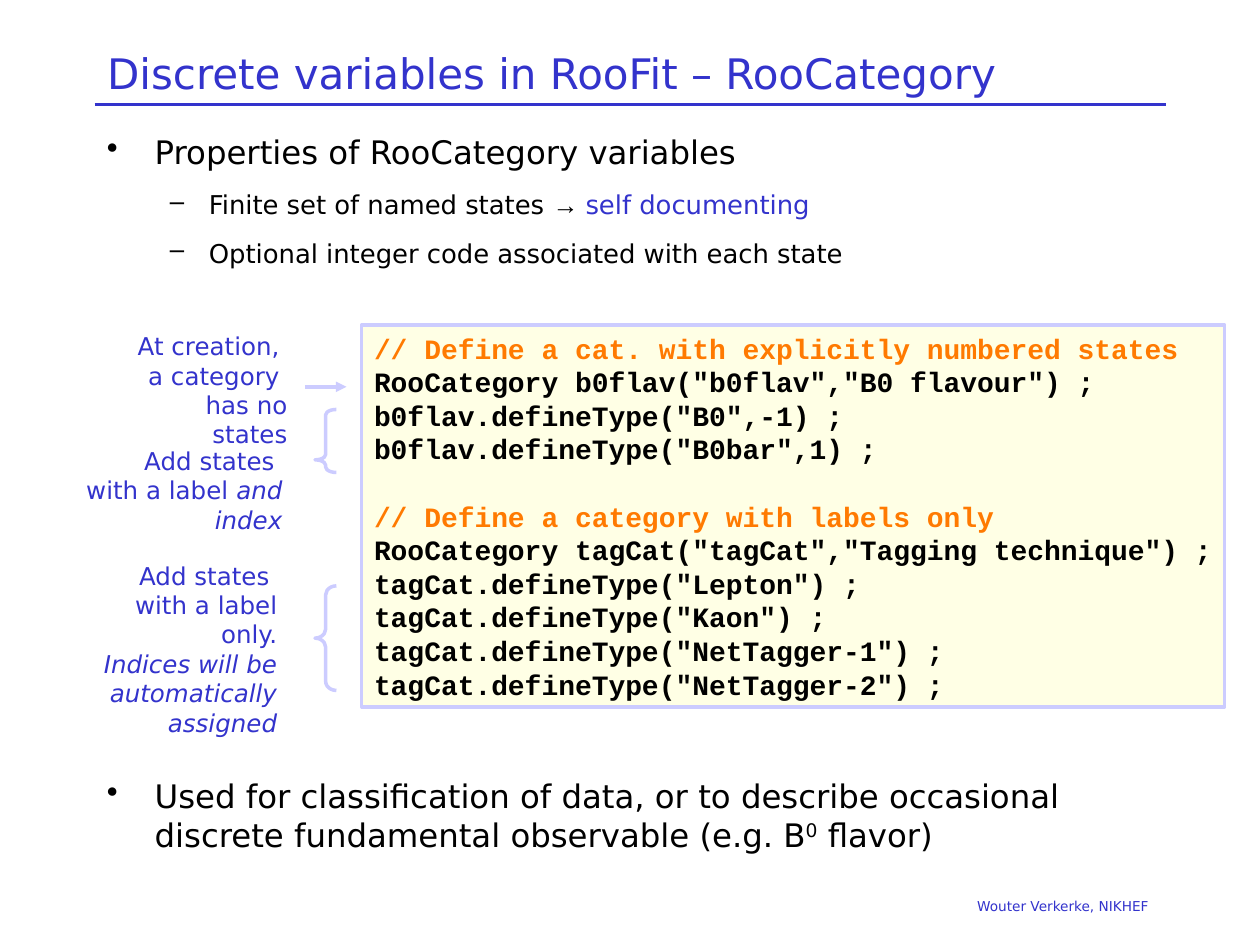
from dataclasses import dataclass
from typing import Any, NamedTuple, Optional

from lxml.etree import SubElement
from pptx import Presentation
from pptx.dml.color import RGBColor
from pptx.enum.shapes import MSO_CONNECTOR as Connector, MSO_SHAPE as Preset
from pptx.enum.text import MSO_ANCHOR as Anchor, MSO_AUTO_SIZE as AutoSize, PP_ALIGN as Align
from pptx.oxml.ns import qn
from pptx.util import Inches, Pt


@dataclass(frozen=True)
class Theme:
    blue: str = "3333CC"
    lilac: str = "CCCCFF"
    cream: str = "FFFFCC"
    orange: str = "FF7A01"
    black: str = "000000"
    sans: str = "DejaVu Sans"
    mono: str = "Courier New"
    symbol: str = "Arial"
    title_size: float = 24
    point_size: float = 18.5
    detail_size: float = 14.8
    code_size: float = 16
    note_size: float = 14
    footer_size: float = 7.8
    rule_width: float = 2
    line_pitch: float = 1.2


THEME = Theme()


class Box(NamedTuple):
    left: float
    top: float
    width: float
    height: float


class Style(NamedTuple):
    size: float
    color: str
    font: str = THEME.sans
    bold: bool = False
    align: Align = Align.LEFT


class Span(NamedTuple):
    text: str
    color: Optional[str] = None
    font: Optional[str] = None
    italic: bool = False
    raised: bool = False


class Bullet(NamedTuple):
    mark: str
    level: int
    margin: float
    hanging: float


class Line(NamedTuple):
    spans: list[Span]
    style: Style
    bullet: Optional[Bullet] = None
    gap: float = 0


class Brace(NamedTuple):
    box: Box
    curve: float
    tip: float


class Note(NamedTuple):
    box: Box
    spans: list[Span]


TITLE = Style(THEME.title_size, THEME.blue)
POINT = Style(THEME.point_size, THEME.black)
DETAIL = Style(THEME.detail_size, THEME.black)
CODE = Style(THEME.code_size, THEME.black, THEME.mono, bold=True)
NOTE = Style(THEME.note_size, THEME.blue, align=Align.RIGHT)
FOOTER = Style(THEME.footer_size, THEME.blue, align=Align.RIGHT)

DOT = Bullet("•", 0, 0.38, 0.38)
DASH = Bullet("–", 1, 0.81, 0.31)

PROPERTIES = [
    Line([Span("Properties of RooCategory variables")], POINT, DOT),
    Line([Span("Finite set of named states "), Span("→ ", font=THEME.symbol),
          Span("self documenting", THEME.blue)], DETAIL, DASH, 10),
    Line([Span("Optional integer code associated with each state")], DETAIL, DASH, 10),
]
USAGE = [
    Line([Span("Used for classification of data, or to describe occasional "
               "discrete fundamental observable (e.g. B"),
          Span("0", raised=True), Span(" flavor)")], POINT, DOT),
]
LISTINGS = [
    ["// Define a cat. with explicitly numbered states",
     'RooCategory b0flav("b0flav","B0 flavour") ;',
     'b0flav.defineType("B0",-1) ;',
     'b0flav.defineType("B0bar",1) ;'],
    ["// Define a category with labels only",
     'RooCategory tagCat("tagCat","Tagging technique") ;',
     'tagCat.defineType("Lepton") ;',
     'tagCat.defineType("Kaon") ;',
     'tagCat.defineType("NetTagger-1") ;',
     'tagCat.defineType("NetTagger-2") ;'],
]
NOTES = [
    Note(Box(0.97, 2.58, 1.41, 0.8), [Span("At creation, \na category \nhas no states")]),
    Note(Box(0.19, 3.49, 2.15, 0.57),
         [Span("Add states \nwith a label "), Span("and index", italic=True)]),
    Note(Box(0.57, 4.4, 1.73, 1.27),
         [Span("Add states \nwith a label only.\n"),
          Span("Indices will be\nautomatically\nassigned", italic=True)]),
]
BRACES = [
    Brace(Box(2.5, 3.25, 0.17, 0.5), 0.25, 0.8),
    Brace(Box(2.5, 4.65, 0.17, 0.83), 0.42, 0.5),
]


def inches(values: tuple) -> list:
    return [Inches(value) for value in values]


def assign(target: Any, values: dict) -> None:
    for key, value in values.items():
        setattr(target, key, value)


def add_bullet(paragraph, bullet: Bullet) -> None:
    properties = paragraph._p.get_or_add_pPr()
    properties.set("marL", str(Inches(bullet.margin)))
    properties.set("indent", str(-Inches(bullet.hanging)))
    color = SubElement(properties, qn("a:buClr"))
    SubElement(color, qn("a:srgbClr"), val=THEME.black)
    SubElement(properties, qn("a:buChar"), char=bullet.mark)
    paragraph.level = bullet.level


def add_span(paragraph, span: Span, style: Style) -> None:
    for index, part in enumerate(span.text.split("\n")):
        if index:
            paragraph.add_line_break()
        if not part:
            continue
        run = paragraph.add_run()
        run.text = part
        assign(run.font, {"name": span.font or style.font, "size": Pt(style.size),
                          "bold": style.bold, "italic": span.italic})
        run.font.color.rgb = RGBColor.from_string(span.color or style.color)
        if span.raised:
            run.font._element.set("baseline", "30000")


def write(shape, lines: list[Line], anchor: Anchor = Anchor.TOP, wrap: bool = True) -> None:
    frame = shape.text_frame
    assign(frame, {"word_wrap": wrap, "auto_size": AutoSize.NONE, "vertical_anchor": anchor})
    for index, line in enumerate(lines):
        paragraph = frame.add_paragraph() if index else frame.paragraphs[0]
        if line.bullet:
            add_bullet(paragraph, line.bullet)
        assign(paragraph, {"alignment": line.style.align, "space_before": Pt(line.gap),
                           "line_spacing": Pt(line.style.size * THEME.line_pitch)})
        for span in line.spans:
            add_span(paragraph, span, line.style)


def add_text(slide, box: Box, lines: list[Line]) -> None:
    write(slide.shapes.add_textbox(*inches(box)), lines)


def outline(shape, color: str) -> None:
    shape.line.color.rgb = RGBColor.from_string(color)
    shape.line.width = Pt(THEME.rule_width)


def add_rule(slide, ends: tuple, color: str, arrow: bool = False) -> None:
    rule = slide.shapes.add_connector(Connector.STRAIGHT, *inches(ends))
    outline(rule, color)
    if arrow:
        SubElement(rule.line._get_or_add_ln(), qn("a:tailEnd"), type="triangle")
    SubElement(rule._element.spPr, qn("a:effectLst"))


def add_code(slide, box: Box) -> None:
    panel = slide.shapes.add_shape(Preset.RECTANGLE, *inches(box))
    panel.shadow.inherit = False
    panel.fill.solid()
    panel.fill.fore_color.rgb = RGBColor.from_string(THEME.cream)
    fill_color = panel._element.spPr.find(qn("a:solidFill")).find(qn("a:srgbClr"))
    SubElement(fill_color, qn("a:alpha"), val="50000")
    outline(panel, THEME.lilac)
    lines = []
    for comment, *statements in LISTINGS:
        gap = THEME.code_size * THEME.line_pitch if lines else 0
        lines.append(Line([Span(comment, THEME.orange)], CODE, gap=gap))
        lines += [Line([Span(statement)], CODE) for statement in statements]
    write(panel, lines, wrap=False)


def add_brace(slide, brace: Brace) -> None:
    bracket = slide.shapes.add_shape(Preset.LEFT_BRACE, *inches(brace.box))
    bracket.shadow.inherit = False
    bracket.fill.background()
    bracket.adjustments[0] = brace.curve
    bracket.adjustments[1] = brace.tip
    outline(bracket, THEME.lilac)


def main() -> None:
    deck = Presentation()
    assign(deck, {"slide_width": Inches(10), "slide_height": Inches(7.5)})
    slide = deck.slides.add_slide(deck.slide_layouts[5])

    title = slide.shapes.title
    assign(title, dict(zip(Box._fields, inches(Box(0.75, 0.33, 8.5, 0.5)))))
    heading = Span("Discrete variables in RooFit – RooCategory")
    write(title, [Line([heading], TITLE)], Anchor.MIDDLE)
    add_rule(slide, (0.75, 0.83, 9.25, 0.83), THEME.blue)

    add_text(slide, Box(0.75, 1, 8.5, 1.25), PROPERTIES)
    add_code(slide, Box(2.87, 2.58, 6.85, 3.03))
    for note in NOTES:
        add_text(slide, note.box, [Line(note.spans, NOTE)])
    for brace in BRACES:
        add_brace(slide, brace)
    add_rule(slide, (2.42, 3.07, 2.75, 3.07), THEME.lilac, arrow=True)
    add_text(slide, Box(0.75, 6.11, 8.5, 0.75), USAGE)
    add_text(slide, Box(0.75, 7.08, 8.5, 0.25), [Line([Span("Wouter Verkerke, NIKHEF ")], FOOTER)])

    deck.save("out.pptx")


if __name__ == "__main__":
    main()
